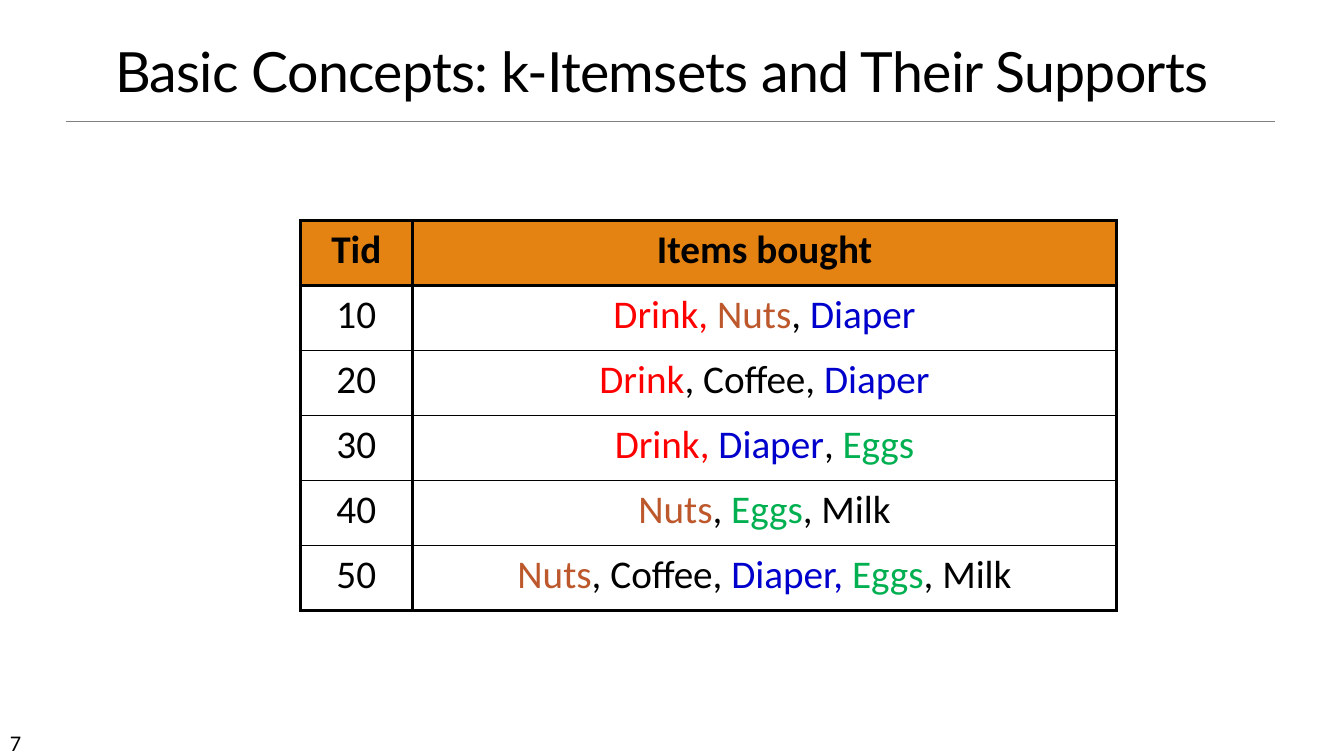
from lxml.etree import SubElement
from pptx import Presentation
from pptx.dml.color import RGBColor
from pptx.enum.shapes import MSO_CONNECTOR as Conn
from pptx.enum.text import MSO_ANCHOR as Anchor, MSO_AUTO_SIZE as Auto, PP_ALIGN as Align
from pptx.oxml.ns import qn
from pptx.util import Pt

BLACK = RGBColor(0, 0, 0)
WHITE = RGBColor(255, 255, 255)
GRAY = RGBColor(0x80, 0x80, 0x80)
ORANGE = RGBColor(0xE4, 0x83, 0x12)
RED = RGBColor(0xFF, 0, 0)
BROWN = RGBColor(0xBD, 0x58, 0x2C)
BLUE = RGBColor(0, 0, 0xCC)
GREEN = RGBColor(0, 0xB0, 0x50)

# Content: each cell is a list of (text, colour) runs
TITLE = "Basic Concepts: k-Itemsets and Their Supports"
PAGE = "7"
HEAD = ("Tid", [("Items bought", BLACK)])
BASKETS = [
    ("10", [("Drink, ", RED), ("Nuts", BROWN), (", ", BLACK), ("Diaper", BLUE)]),
    ("20", [("Drink", RED), (", Coffee, ", BLACK), ("Diaper", BLUE)]),
    ("30", [("Drink, ", RED), ("Diaper", BLUE), (", ", BLACK), ("Eggs", GREEN)]),
    ("40", [("Nuts", BROWN), (", ", BLACK), ("Eggs", GREEN), (", Milk", BLACK)]),
    ("50", [("Nuts", BROWN), (", Coffee, ", BLACK), ("Diaper, ", BLUE),
            ("Eggs", GREEN), (", Milk", BLACK)]),
]
WIDTHS = (79.92, 503.28)
ROW_H = 46.44
THICK, THIN = 2.25, 1


def style(font, name, size, color, bold=False):
    font.name, font.size, font.bold = name, Pt(size), bold
    font.color.rgb = color


def border(cell, top, bottom):
    """Add the four edges ahead of the cell's fill."""
    props = cell._tc.get_or_add_tcPr()
    edges = (("lnL", THICK), ("lnR", THICK), ("lnT", top), ("lnB", bottom))
    for spot, (tag, width) in enumerate(edges):
        edge = SubElement(props, qn("a:" + tag), w=str(Pt(width)))
        fill = SubElement(edge, qn("a:solidFill"))
        SubElement(fill, qn("a:srgbClr"), val=str(BLACK))
        props.insert(spot, edge)


def write(cell, runs, bold):
    cell.margin_left = cell.margin_right = Pt(9.36)
    cell.margin_top = cell.margin_bottom = Pt(3.6)
    cell.vertical_anchor = Anchor.TOP
    para = cell.text_frame.paragraphs[0]
    para.alignment = Align.CENTER
    for text, color in runs:
        run = para.add_run()
        run.text = text
        style(run.font, "Calibri", 28, color, bold)


def main():
    deck = Presentation()
    deck.slide_width, deck.slide_height = Pt(960), Pt(540)
    slide = deck.slides.add_slide(deck.slide_layouts[5])
    shapes = slide.shapes

    # Title
    title = shapes.title
    title.left, title.top, title.width, title.height = map(Pt, (33.84, 18, 877.68, 59.76))
    frame = title.text_frame
    frame.text = TITLE
    frame.auto_size = Auto.NONE
    frame.vertical_anchor = Anchor.BOTTOM
    para = frame.paragraphs[0]
    para.alignment, para.line_spacing = Align.CENTER, 0.85
    run = para.runs[0]
    style(run.font, "Lato", 39.6, BLACK)
    run._r.get_or_add_rPr().set("spc", "-50")

    # Rule under the title
    rule = shapes.add_connector(Conn.STRAIGHT, Pt(46.8), Pt(86.4), Pt(910.8), Pt(86.4))
    rule.line.color.rgb, rule.line.width = GRAY, Pt(0.5)
    SubElement(rule._element.spPr, qn("a:effectLst"))

    # Page number
    frame = shapes.add_textbox(Pt(0), Pt(516.96), Pt(84.24), Pt(21.6)).text_frame
    frame.word_wrap = True
    frame.text = PAGE
    style(frame.paragraphs[0].runs[0].font, "Calibri", 16, BLACK)

    # Table of baskets
    rows = [HEAD] + BASKETS
    table = shapes.add_table(len(rows), len(WIDTHS), Pt(214.56), Pt(157.68),
                             Pt(sum(WIDTHS)), Pt(ROW_H * len(rows))).table
    table.first_row = table.horz_banding = False
    for col, width in zip(table.columns, WIDTHS):
        col.width = Pt(width)
    for r, (tid, items) in enumerate(rows):
        table.rows[r].height = Pt(ROW_H)
        head = r == 0
        top = THICK if r < 2 else THIN
        bottom = THICK if head or r == len(rows) - 1 else THIN
        for c, runs in enumerate(([(tid, BLACK)], items)):
            cell = table.cell(r, c)
            write(cell, runs, head)
            cell.fill.solid()
            cell.fill.fore_color.rgb = ORANGE if head else WHITE
            border(cell, top, bottom)

    deck.save("out.pptx")


if __name__ == "__main__":
    main()
